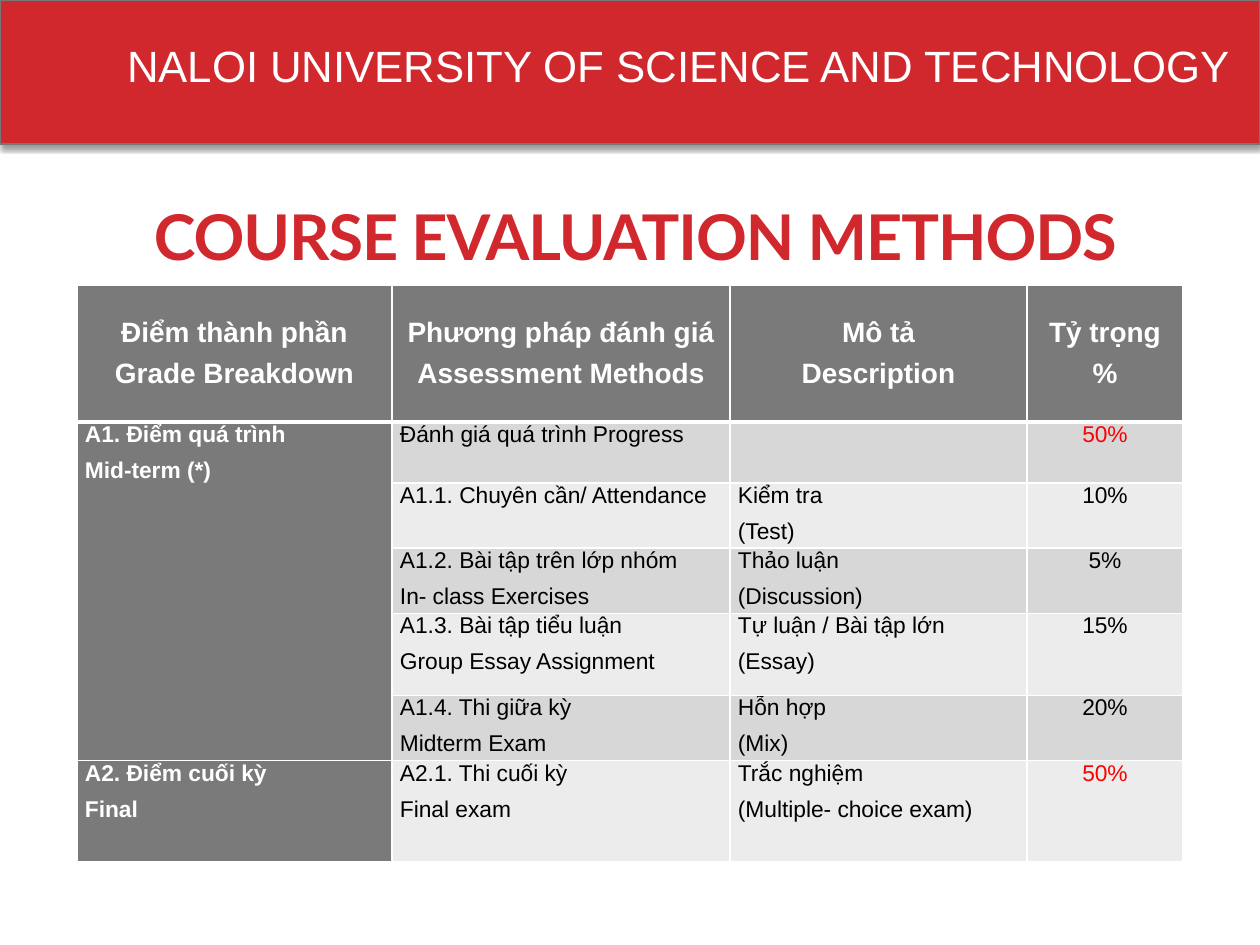
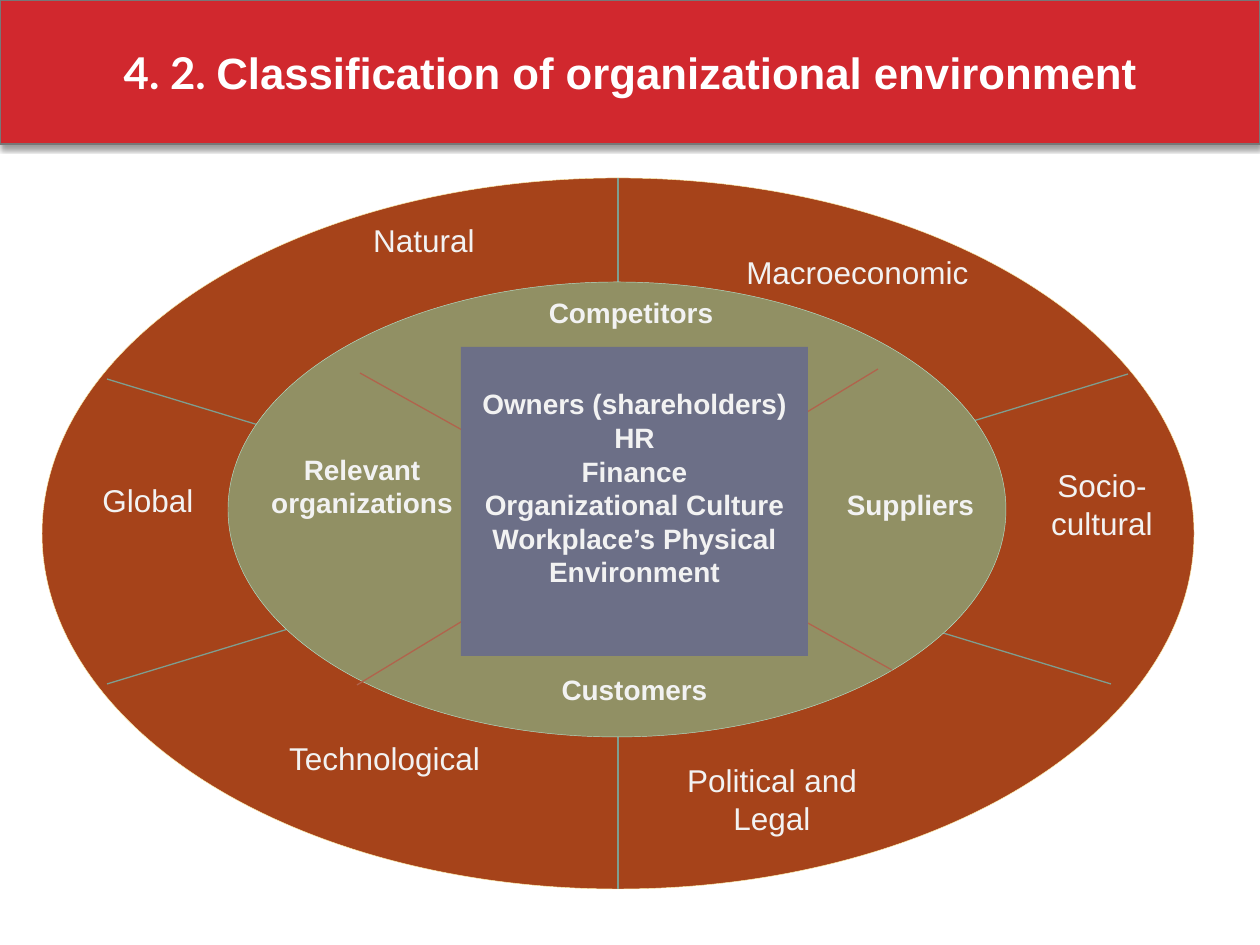
from lxml.etree import SubElement
from pptx import Presentation
from pptx.dml.color import RGBColor
from pptx.enum.shapes import MSO_CONNECTOR, MSO_SHAPE
from pptx.enum.text import MSO_ANCHOR, PP_ALIGN
from pptx.oxml import parse_xml
from pptx.oxml.ns import nsdecls, qn
from pptx.util import Emu, Pt

PX = 914400 / 126
SLIDE_W, SLIDE_H, BAND_H = 1260, 945, 144
SANS, DISPLAY = "Arial", "Lato"
COLORS = {
    "white": "FFFFFF", "black": "000000", "red": "D1282E", "mark": "FF0000",
    "band_line": "777777", "head": "7A7A7A", "odd": "D7D7D7", "even": "ECECEC",
    "outer": "A6431A", "outer_line": "FFF2AE", "spoke": "7E9E90",
    "inner": "919064", "inner_line": "B3E2CD", "cross": "B1634C",
    "core": "6C6F87", "label": "F2F2F2",
}

COLUMNS = [315, 338, 297, 156]
ROWS = [137, 61, 65, 65, 82, 65, 101]
GRADES = [
    ["Điểm thành phần\nGrade Breakdown", "Phương pháp đánh giá\nAssessment Methods",
     "Mô tả\nDescription", "Tỷ trọng\n%"],
    ["A1. Điểm quá trình\nMid-term (*)", "Đánh giá quá trình Progress", "", "50%"],
    ["", "A1.1. Chuyên cần/ Attendance", "Kiểm tra\n(Test)", "10%"],
    ["", "A1.2. Bài tập trên lớp nhóm\nIn- class Exercises",
     "Thảo luận\n(Discussion)", "5%"],
    ["", "A1.3. Bài tập tiểu luận\nGroup Essay Assignment",
     "Tự luận / Bài tập lớn\n(Essay)", "15%"],
    ["", "A1.4. Thi giữa kỳ\nMidterm Exam", "Hỗn hợp\n(Mix)", "20%"],
    ["A2. Điểm cuối kỳ\nFinal", "A2.1. Thi cuối kỳ\nFinal exam",
     "Trắc nghiệm\n(Multiple- choice exam)", "50%"],
]

OUTER_SPOKES = [(618, 178, 618, 889), (107, 684, 1128, 374), (107, 379, 1111, 684)]
INNER_SPOKES = [(357, 685, 878, 369), (360, 373, 892, 670)]
OUTER_LABELS = [
    ("Natural", (256, 215, 336, 63)),
    ("Macroeconomic", (713, 247, 289, 63)),
    ("Global", (63, 475, 170, 63)),
    ("Technological", (256, 733, 257, 50)),
    ("Political and Legal", (665, 755, 214, 110)),
    ("Socio-cultural", (1019, 460, 166, 110)),
]
INNER_LABELS = [
    ("Competitors", (490, 289, 282, 58)),
    ("Relevant organizations", (246, 446, 232, 100)),
    ("Suppliers", (761, 481, 299, 58)),
    ("Customers", (485, 666, 299, 47)),
]
CORE_TEXT = ("Owners (shareholders)\nHR\nFinance\nOrganizational Culture\n"
             "Workplace’s Physical Environment")


def px(n):
    return Emu(round(n * PX))


def rgb(name):
    return RGBColor.from_string(COLORS[name])


def style(p, size, color, bold=False, font=SANS, align=PP_ALIGN.CENTER):
    p.alignment = align
    p.font.size, p.font.bold, p.font.name = Pt(size), bold, font
    p.font.color.rgb = rgb(color)


def write(tf, text, size, color, **look):
    tf.word_wrap = True
    for i, line in enumerate(text.split("\n")):
        p = tf.paragraphs[0] if i == 0 else tf.add_paragraph()
        p.text = line
        style(p, size, color, **look)


def add_text(s, text, box, size, color, **look):
    sp = s.shapes.add_textbox(*map(px, box))
    write(sp.text_frame, text, size, color, **look)
    return sp


def add_block(s, kind, box, fill, line=None, width=0.25):
    sp = s.shapes.add_shape(kind, *map(px, box))
    sp.shadow.inherit = False
    sp.fill.solid()
    sp.fill.fore_color.rgb = rgb(fill)
    if line:
        sp.line.color.rgb = rgb(line)
        sp.line.width = Pt(width)
    else:
        sp.line.fill.background()
    return sp


def add_line(s, ends, color):
    ln = s.shapes.add_connector(MSO_CONNECTOR.STRAIGHT, *map(px, ends))
    ln.line.color.rgb = rgb(color)
    ln.line.width = Pt(0.75)
    SubElement(ln._element.spPr, qn("a:effectLst"))


def add_band(s):
    sp = add_block(s, MSO_SHAPE.RECTANGLE, (0, 0, SLIDE_W, BAND_H), "red", "band_line", 1)
    effects = sp._element.spPr.find(qn("a:effectLst"))
    effects.append(parse_xml(
        f'<a:outerShdw {nsdecls("a")} blurRad="39000" dist="23000" dir="5400000" '
        f'rotWithShape="0"><a:srgbClr val="{COLORS["black"]}"><a:alpha val="40000"/>'
        '</a:srgbClr></a:outerShdw>'))
    return sp


def set_borders(cell, row):
    tc_pr = cell._tc.get_or_add_tcPr()
    widths = {"L": 1, "R": 1, "T": 3 if row == 1 else 1, "B": 3 if row == 0 else 1}
    for i, (side, width) in enumerate(widths.items()):
        tc_pr.insert(i, parse_xml(
            f'<a:ln{side} {nsdecls("a")} w="{Pt(width)}"><a:solidFill>'
            f'<a:srgbClr val="{COLORS["white"]}"/></a:solidFill></a:ln{side}>'))


def fill_cell(cell, text, row, col):
    head = row == 0 or col == 0
    last = col == len(COLUMNS) - 1
    cell.fill.solid()
    cell.fill.fore_color.rgb = rgb("head" if head else "odd" if row % 2 else "even")
    set_borders(cell, row)
    cell.margin_left = cell.margin_right = px(8)
    cell.margin_top = cell.margin_bottom = 0
    cell.vertical_anchor = MSO_ANCHOR.MIDDLE if row == 0 else MSO_ANCHOR.TOP
    color = "white" if head else "mark" if text == "50%" else "black"
    align = PP_ALIGN.CENTER if row == 0 or last else PP_ALIGN.LEFT
    write(cell.text_frame, text, 16 if row == 0 else 13, color, bold=head, align=align)
    for p in cell.text_frame.paragraphs:
        p.space_before = p.space_after = Pt(3)


def add_grades(s, left, top):
    box = (left, top, sum(COLUMNS), sum(ROWS))
    table = s.shapes.add_table(len(ROWS), len(COLUMNS), *map(px, box)).table
    for column, width in zip(table.columns, COLUMNS):
        column.width = px(width)
    for row, height in zip(table.rows, ROWS):
        row.height = px(height)
    for r, texts in enumerate(GRADES):
        for c, text in enumerate(texts):
            fill_cell(table.cell(r, c), text, r, c)
    table.cell(1, 0).merge(table.cell(5, 0))


def build_evaluation(s):
    add_band(s)
    add_text(s, "NALOI UNIVERSITY OF SCIENCE AND TECHNOLOGY", (115, 33, 1145, 66),
             25, "white", align=PP_ALIGN.LEFT)
    title = add_text(s, "COURSE EVALUATION METHODS", (63, 143, 1145, 136),
                     36, "red", bold=True, font=DISPLAY)
    title.text_frame.vertical_anchor = MSO_ANCHOR.BOTTOM
    title.text_frame.paragraphs[0].runs[0]._r.get_or_add_rPr().set("spc", "-60")
    add_grades(s, 77, 285)


def build_environment(s):
    tf = add_band(s).text_frame
    tf.vertical_anchor = MSO_ANCHOR.MIDDLE
    p = tf.paragraphs[0]
    style(p, 25, "white", bold=True)
    for text, font in (("4. 2. ", DISPLAY),
                       ("Classification of organizational environment", SANS)):
        r = p.add_run()
        r.text, r.font.name = text, font

    add_block(s, MSO_SHAPE.OVAL, (42, 178, 1152, 711), "outer", "outer_line")
    for ends in OUTER_SPOKES:
        add_line(s, ends, "spoke")
    add_block(s, MSO_SHAPE.OVAL, (228, 282, 778, 455), "inner", "inner_line")
    for ends in INNER_SPOKES:
        add_line(s, ends, "cross")
    for text, box in OUTER_LABELS:
        add_text(s, text, box, 18, "label")
    for text, box in INNER_LABELS:
        add_text(s, text, box, 16, "label", bold=True)

    core = add_block(s, MSO_SHAPE.RECTANGLE, (461, 347, 347, 309), "core")
    core.text_frame.vertical_anchor = MSO_ANCHOR.TOP
    core.text_frame.margin_top = px(40)
    write(core.text_frame, CORE_TEXT, 16, "label", bold=True)


def main():
    prs = Presentation()
    prs.slide_width, prs.slide_height = px(SLIDE_W), px(SLIDE_H)
    for build in (build_evaluation, build_environment):
        build(prs.slides.add_slide(prs.slide_layouts[6]))
    prs.save("out.pptx")


if __name__ == "__main__":
    main()
